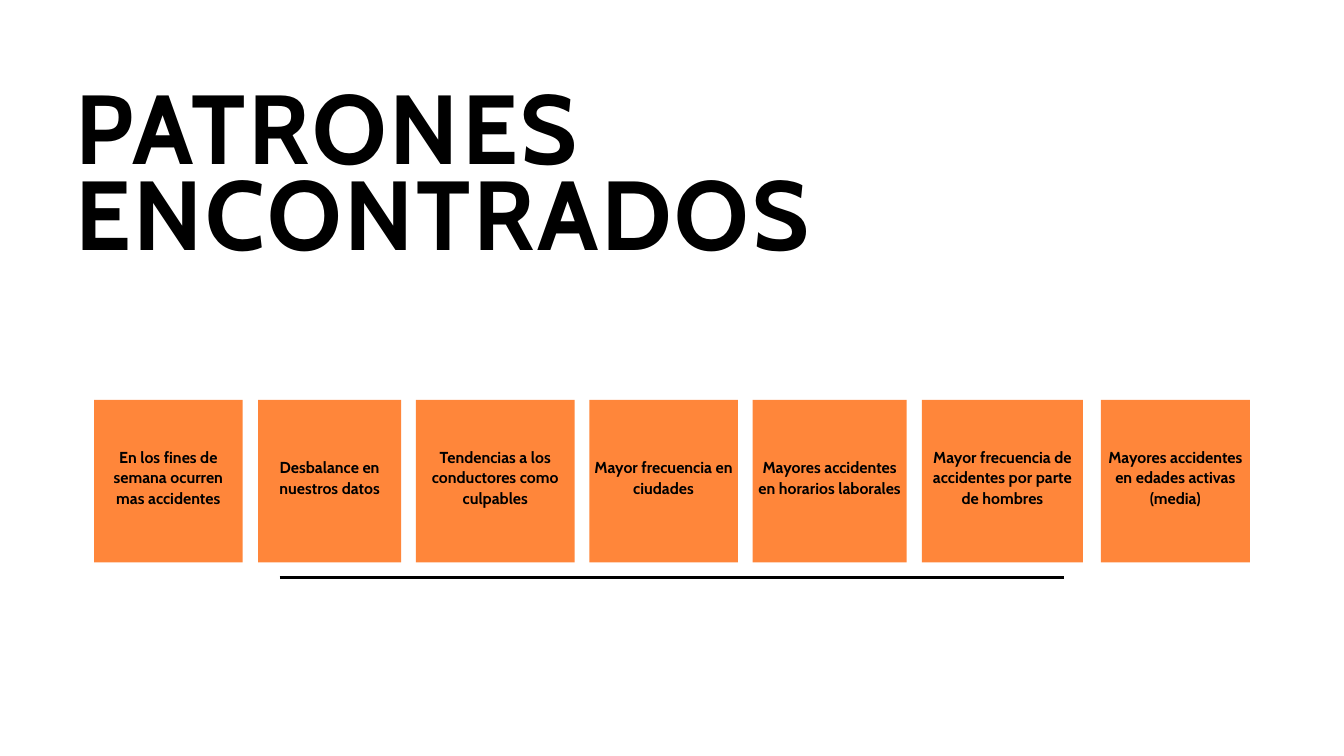
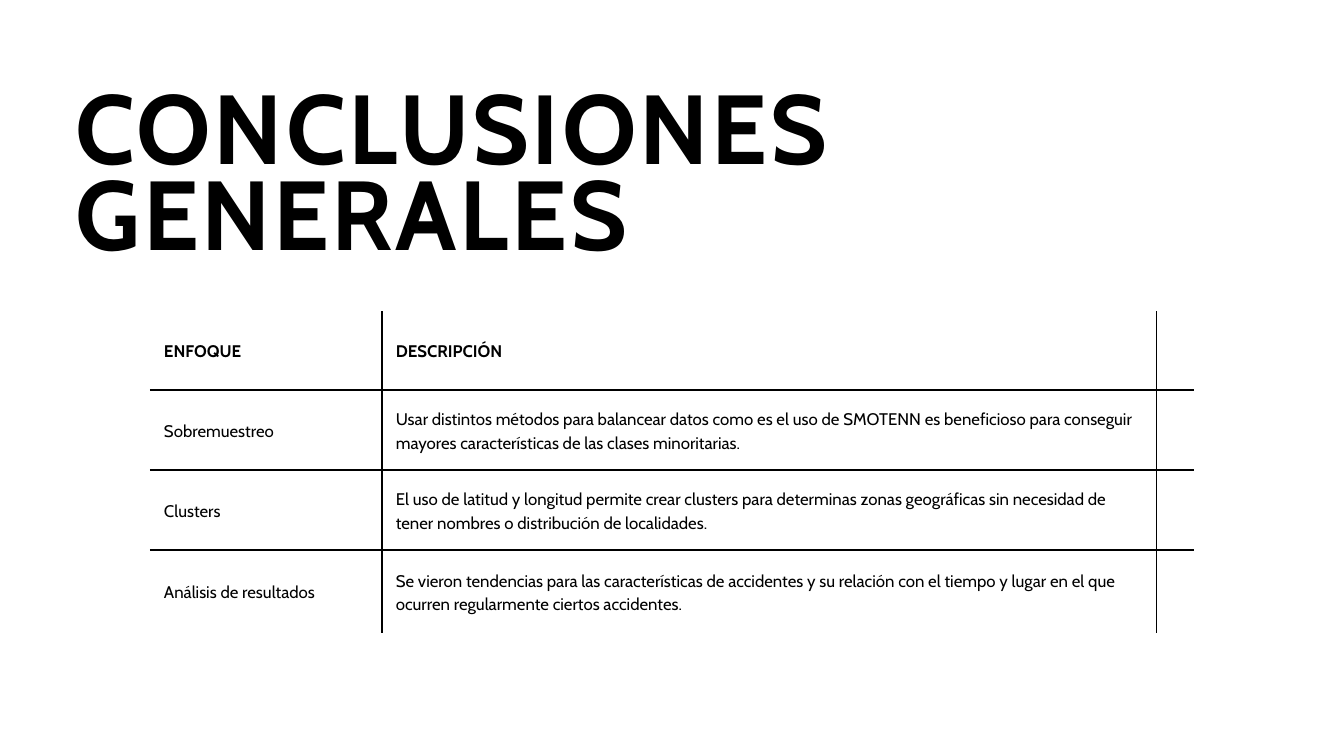
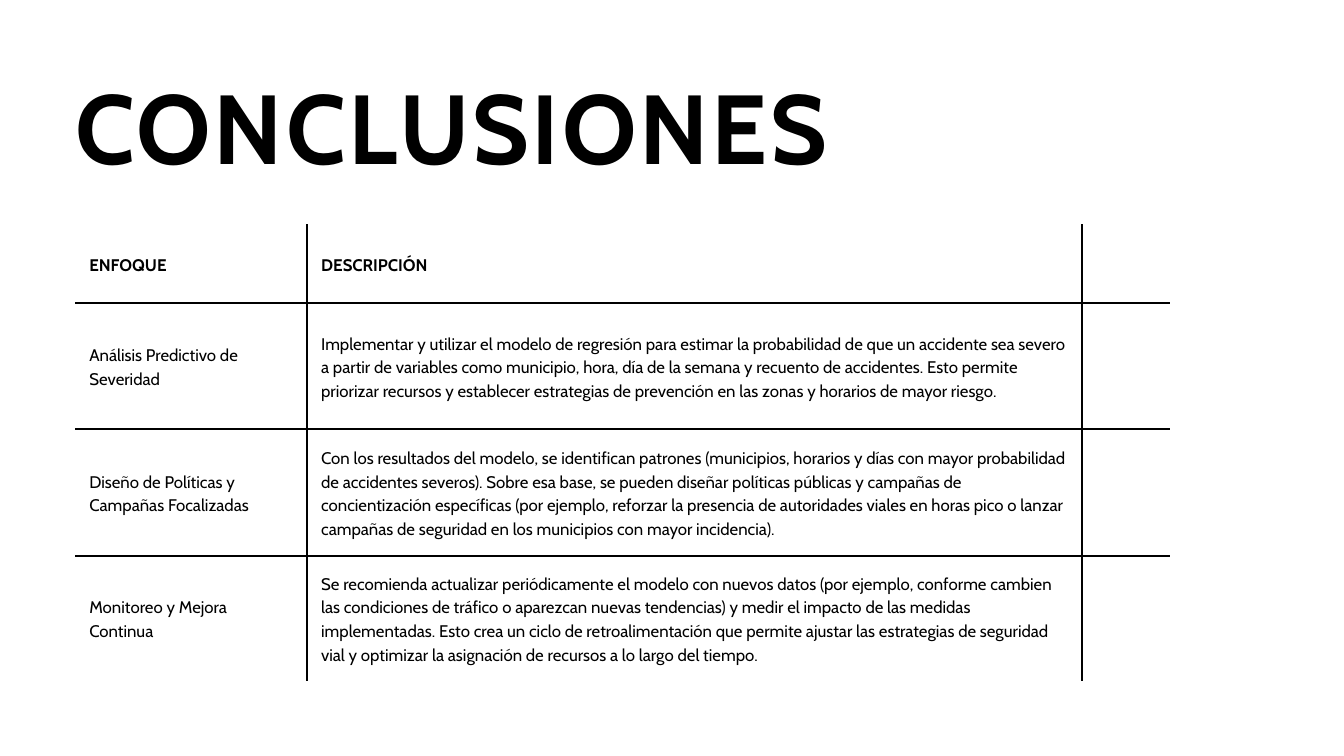
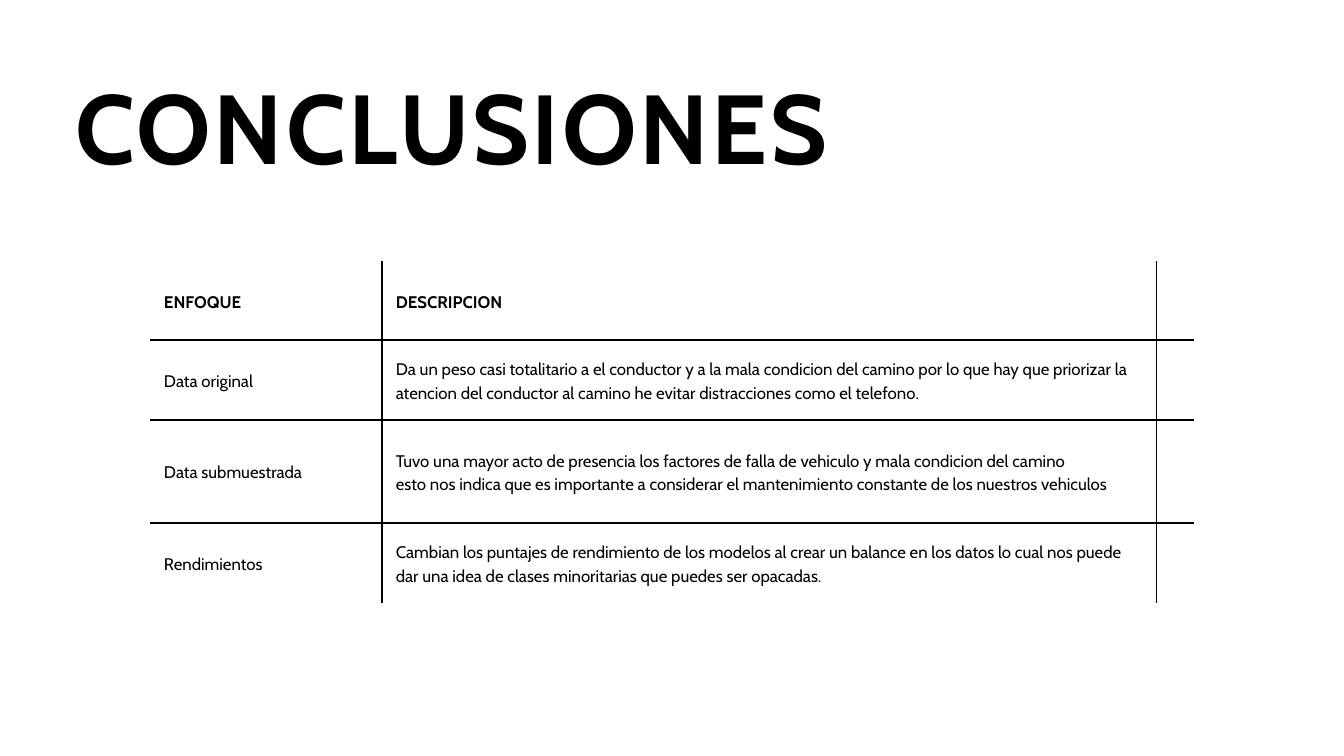
import pptx
import pptx.util
import pptx.dml.color
import pptx.enum.shapes
import pptx.enum.text
import pptx.oxml.ns
from dataclasses import dataclass
from lxml import etree

Pt = pptx.util.Pt
qn = pptx.oxml.ns.qn
ALIGN = pptx.enum.text.PP_ALIGN
ANCHOR = pptx.enum.text.MSO_ANCHOR


@dataclass(frozen=True)
class Theme:
    font: str = "Cabin"
    ink: str = "000000"
    card: str = "FF863A"
    title_size: float = 105
    title_leading: float = 92.4
    title_spacing: float = 3.1
    card_size: float = 17
    card_leading: float = 22.1
    table_size: float = 18
    table_leading: float = 25.2
    border: float = 2.25
    rule: float = 3


THEME = Theme()
SLIDE_SIZE = (1440, 810)
TITLE_LEFT, TITLE_TOP = 80.6, 105.1

PATTERNS = {
    "title": "PATRONES ENCONTRADOS",
    "title_size": (1073.5, 194.4),
    "cards": [  # left, width, text
        (100.8, 159.1, "En los fines de semana ocurren mas accidentes"),
        (276.5, 153.4, "Desbalance en nuestros datos"),
        (445.7, 169.9, "Tendencias a los conductores como culpables"),
        (631.4, 159.1, "Mayor frecuencia en ciudades"),
        (806.4, 164.9, "Mayores accidentes en horarios laborales"),
        (987.8, 172.5, "Mayor frecuencia de accidentes por parte de hombres"),
        (1179.4, 159.8, "Mayores accidentes en edades activas\n(media)"),
    ],
}
CARD_TOP, CARD_HEIGHT = 428.4, 174.2
CARD_INSET, CARD_BOTTOM_INSET = 4.3, 13.7
RULE_FROM, RULE_TO, RULE_Y = 299.5, 1140.5, 618.5

FOCUS_WIDTH, DESCRIPTION_WIDTH = 248.4, 830.2
CELL_INSET = 15.1
CONCLUSIONS = [
    {
        "title": "CONCLUSIONES GENERALES",
        "title_size": (1041, 194.4),
        "origin": (160.6, 333.4),
        "last_width": 40.3,
        "heights": [84.2, 85.7, 85.7, 89.3],
        "rows": [
            ("ENFOQUE", "DESCRIPCIÓN"),
            ("Sobremuestreo",
             "Usar distintos métodos para balancear datos como es el uso de SMOTENN es "
             "beneficioso para conseguir mayores características de las clases minoritarias."),
            ("Clusters",
             "El uso de latitud y longitud permite crear clusters para determinas zonas "
             "geográficas sin necesidad de tener nombres o distribución de localidades."),
            ("Análisis de resultados",
             "Se vieron tendencias para las características de accidentes y su relación con el "
             "tiempo y lugar en el que ocurren regularmente ciertos accidentes."),
        ],
    },
    {
        "title": "CONCLUSIONES",
        "title_size": (970.6, 101.5),
        "origin": (80.6, 240.5),
        "last_width": 94.3,
        "heights": [84.2, 135.4, 135.4, 133.9],
        "rows": [
            ("ENFOQUE", "DESCRIPCIÓN"),
            ("Análisis Predictivo de Severidad",
             "Implementar y utilizar el modelo de regresión para estimar la probabilidad de que "
             "un accidente sea severo a partir de variables como municipio, hora, día de la "
             "semana y recuento de accidentes. Esto permite priorizar recursos y establecer "
             "estrategias de prevención en las zonas y horarios de mayor riesgo."),
            ("Diseño de Políticas y Campañas Focalizadas",
             "Con los resultados del modelo, se identifican patrones (municipios, horarios y "
             "días con mayor probabilidad de accidentes severos). Sobre esa base, se pueden "
             "diseñar políticas públicas y campañas de concientización específicas (por ejemplo, "
             "reforzar la presencia de autoridades viales en horas pico o lanzar campañas de "
             "seguridad en los municipios con mayor incidencia)."),
            ("Monitoreo y Mejora Continua",
             "Se recomienda actualizar periódicamente el modelo con nuevos datos (por ejemplo, "
             "conforme cambien las condiciones de tráfico o aparezcan nuevas tendencias) y medir "
             "el impacto de las medidas implementadas. Esto crea un ciclo de retroalimentación "
             "que permite ajustar las estrategias de seguridad vial y optimizar la asignación "
             "de recursos a lo largo del tiempo."),
        ],
    },
    {
        "title": "CONCLUSIONES",
        "title_size": (1151.3, 101.5),
        "origin": (160.6, 280.1),
        "last_width": 40.3,
        "heights": [84.2, 85.7, 110.2, 85.7],
        "rows": [
            ("ENFOQUE", "DESCRIPCION"),
            ("Data original",
             "Da un peso casi totalitario a el conductor y a la mala condicion del camino por lo "
             "que hay que priorizar la atencion del conductor al camino he evitar distracciones "
             "como el telefono."),
            ("Data submuestrada",
             "Tuvo una mayor acto de presencia los factores de falla de vehiculo y mala condicion "
             "del camino\n"
             "esto nos indica que es importante a considerar el mantenimiento constante de los "
             "nuestros vehiculos"),
            ("Rendimientos",
             "Cambian los puntajes de rendimiento de los modelos al crear un balance en los datos "
             "lo cual nos puede dar una idea de clases minoritarias que puedes ser opacadas."),
        ],
    },
]


def rgb(color):
    return pptx.dml.color.RGBColor.from_string(color)


def write(tf, text, size, leading, bold=True, align=ALIGN.LEFT, spacing=0):
    tf.text = text
    tf.word_wrap = True
    for p in tf.paragraphs:
        p.alignment = align
        p.line_spacing = Pt(leading)
        for r in p.runs:
            r.font.name = THEME.font
            r.font.size = Pt(size)
            r.font.bold = bold
            r.font.color.rgb = rgb(THEME.ink)
            if spacing:
                r._r.get_or_add_rPr().set("spc", str(round(spacing * 100)))


def set_insets(box, side, bottom=None):
    box.margin_left = box.margin_top = box.margin_right = Pt(side)
    box.margin_bottom = Pt(side if bottom is None else bottom)


def add_titled_slide(prs, content):
    s = prs.slides.add_slide(prs.slide_layouts[5])
    title = s.shapes.title
    title.left, title.top = Pt(TITLE_LEFT), Pt(TITLE_TOP)
    title.width, title.height = map(Pt, content["title_size"])
    tf = title.text_frame
    tf.auto_size = pptx.enum.text.MSO_AUTO_SIZE.NONE
    tf.vertical_anchor = ANCHOR.TOP
    set_insets(tf, 0)
    write(tf, content["title"], THEME.title_size, THEME.title_leading,
          spacing=THEME.title_spacing)
    return s


def add_card(s, left, width, text):
    sp = s.shapes.add_shape(pptx.enum.shapes.MSO_SHAPE.RECTANGLE,
                            Pt(left), Pt(CARD_TOP), Pt(width), Pt(CARD_HEIGHT))
    sp.shadow.inherit = False
    sp.fill.solid()
    sp.fill.fore_color.rgb = rgb(THEME.card)
    sp.line.fill.background()
    tf = sp.text_frame
    tf.vertical_anchor = ANCHOR.MIDDLE
    set_insets(tf, CARD_INSET, CARD_BOTTOM_INSET)
    write(tf, text, THEME.card_size, THEME.card_leading, align=ALIGN.CENTER)


def add_rule(s):
    line = s.shapes.add_connector(pptx.enum.shapes.MSO_CONNECTOR.STRAIGHT,
                                  Pt(RULE_FROM), Pt(RULE_Y), Pt(RULE_TO), Pt(RULE_Y))
    line.line.color.rgb = rgb(THEME.ink)
    line.line.width = Pt(THEME.rule)
    etree.SubElement(line._element.spPr, qn("a:effectLst"))


def set_borders(cell, sides):
    """Draw each side that is true and clear the others; sides run left, right, top, bottom."""
    tcPr = cell._tc.get_or_add_tcPr()
    for i, (name, shown) in enumerate(zip("LRTB", sides)):
        ln = etree.Element(qn(f"a:ln{name}"), w=str(Pt(THEME.border) if shown else 0))
        if shown:
            fill = etree.SubElement(ln, qn("a:solidFill"))
            etree.SubElement(fill, qn("a:srgbClr"), val=THEME.ink)
        else:
            etree.SubElement(ln, qn("a:noFill"))
        tcPr.insert(i, ln)


def add_conclusions_table(s, content):
    widths = [FOCUS_WIDTH, DESCRIPTION_WIDTH, content["last_width"]]
    heights = content["heights"]
    left, top = content["origin"]
    table = s.shapes.add_table(len(heights), len(widths), Pt(left), Pt(top),
                               Pt(sum(widths)), Pt(sum(heights))).table
    table.first_row = table.horz_banding = False
    for column, width in zip(table.columns, widths):
        column.width = Pt(width)
    last_row, last_col = len(heights) - 1, len(widths) - 1
    for i, height in enumerate(heights):
        table.rows[i].height = Pt(height)
        for j in range(len(widths)):
            cell = table.cell(i, j)
            cell.fill.background()
            set_borders(cell, (j > 0, j < last_col, i > 0, i < last_row))
            if j < last_col:
                cell.vertical_anchor = ANCHOR.MIDDLE
                set_insets(cell, CELL_INSET)
                write(cell.text_frame, content["rows"][i][j], THEME.table_size,
                      THEME.table_leading, bold=i == 0)


def main():
    prs = pptx.Presentation()
    prs.slide_width, prs.slide_height = map(Pt, SLIDE_SIZE)

    s = add_titled_slide(prs, PATTERNS)
    add_rule(s)
    for card in PATTERNS["cards"]:
        add_card(s, *card)

    for content in CONCLUSIONS:
        add_conclusions_table(add_titled_slide(prs, content), content)

    prs.save("out.pptx")


if __name__ == "__main__":
    main()
